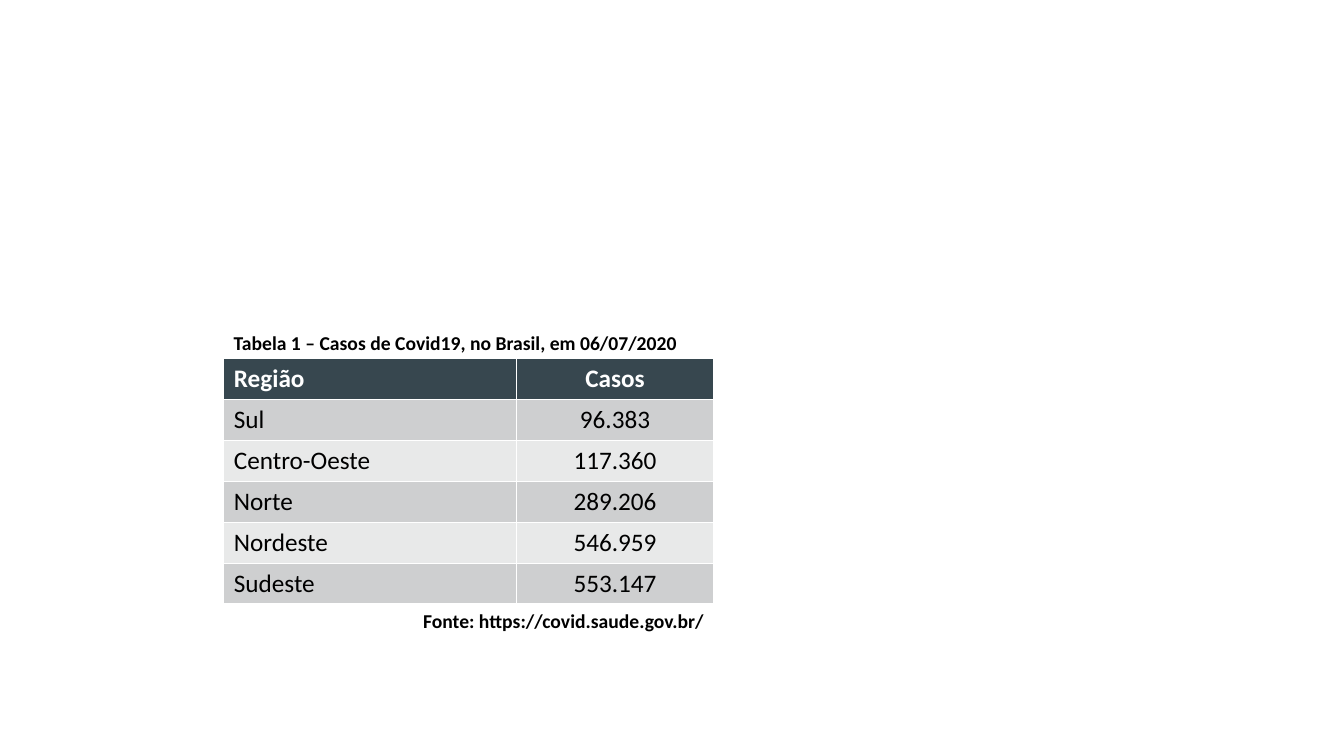
"""Build a slide with a table of Covid19 cases by Brazilian region."""
from pptx import Presentation
from pptx.dml.color import RGBColor
from pptx.enum.text import MSO_ANCHOR, PP_ALIGN
from pptx.util import Inches, Pt

CASES = [
    ("Região", "Casos"),
    ("Sul", "96.383"),
    ("Centro-Oeste", "117.360"),
    ("Norte", "289.206"),
    ("Nordeste", "546.959"),
    ("Sudeste", "553.147"),
]
CAPTIONS = [
    ("Tabela 1 – Casos de Covid19, no Brasil, em 06/07/2020", 3.23, PP_ALIGN.LEFT),
    ("Fonte: https://covid.saude.gov.br/", 5.99, PP_ALIGN.RIGHT),
]
COLORS = {
    "header": "37474F",
    "odd": "CECFD0",
    "even": "E8E9E9",
    "light": "FFFFFF",
    "dark": "000000",
}
LEFT, TABLE_TOP, WIDTH = 2.22, 3.56, 4.86
COLUMN_WIDTHS = (2.9, 1.96)
COLUMN_ALIGNMENTS = (PP_ALIGN.LEFT, PP_ALIGN.CENTER)
ROW_HEIGHT, CAPTION_HEIGHT = 0.405, 0.34


def write_text(text_frame, text, alignment, color, size, bold):
    paragraph = text_frame.paragraphs[0]
    paragraph.alignment = alignment
    run = paragraph.add_run()
    run.text = text
    for name, value in {"name": "Calibri", "size": Pt(size), "bold": bold}.items():
        setattr(run.font, name, value)
    run.font.color.rgb = RGBColor.from_string(COLORS[color])


def add_cases_table(slide):
    frame = slide.shapes.add_table(
        len(CASES), len(COLUMN_WIDTHS), Inches(LEFT), Inches(TABLE_TOP),
        Inches(WIDTH), Inches(ROW_HEIGHT * len(CASES)))
    table = frame.table
    for column, width in zip(table.columns, COLUMN_WIDTHS):
        column.width = Inches(width)
    for row_index, row in enumerate(CASES):
        is_header = row_index == 0
        fill = "header" if is_header else ("even", "odd")[row_index % 2]
        color = "light" if is_header else "dark"
        for column_index, text in enumerate(row):
            cell = table.cell(row_index, column_index)
            cell.vertical_anchor = MSO_ANCHOR.MIDDLE
            cell.fill.solid()
            cell.fill.fore_color.rgb = RGBColor.from_string(COLORS[fill])
            write_text(cell.text_frame, text, COLUMN_ALIGNMENTS[column_index],
                       color, 18, is_header)


def add_caption(slide, text, top, alignment):
    shape = slide.shapes.add_textbox(
        Inches(LEFT), Inches(top), Inches(WIDTH), Inches(CAPTION_HEIGHT))
    shape.text_frame.word_wrap = True
    write_text(shape.text_frame, text, alignment, "dark", 14, True)


presentation = Presentation()
presentation.slide_width = Inches(13.33)
presentation.slide_height = Inches(7.5)
slide = presentation.slides.add_slide(presentation.slide_layouts[6])
add_cases_table(slide)
for caption in CAPTIONS:
    add_caption(slide, *caption)
presentation.save("out.pptx")
